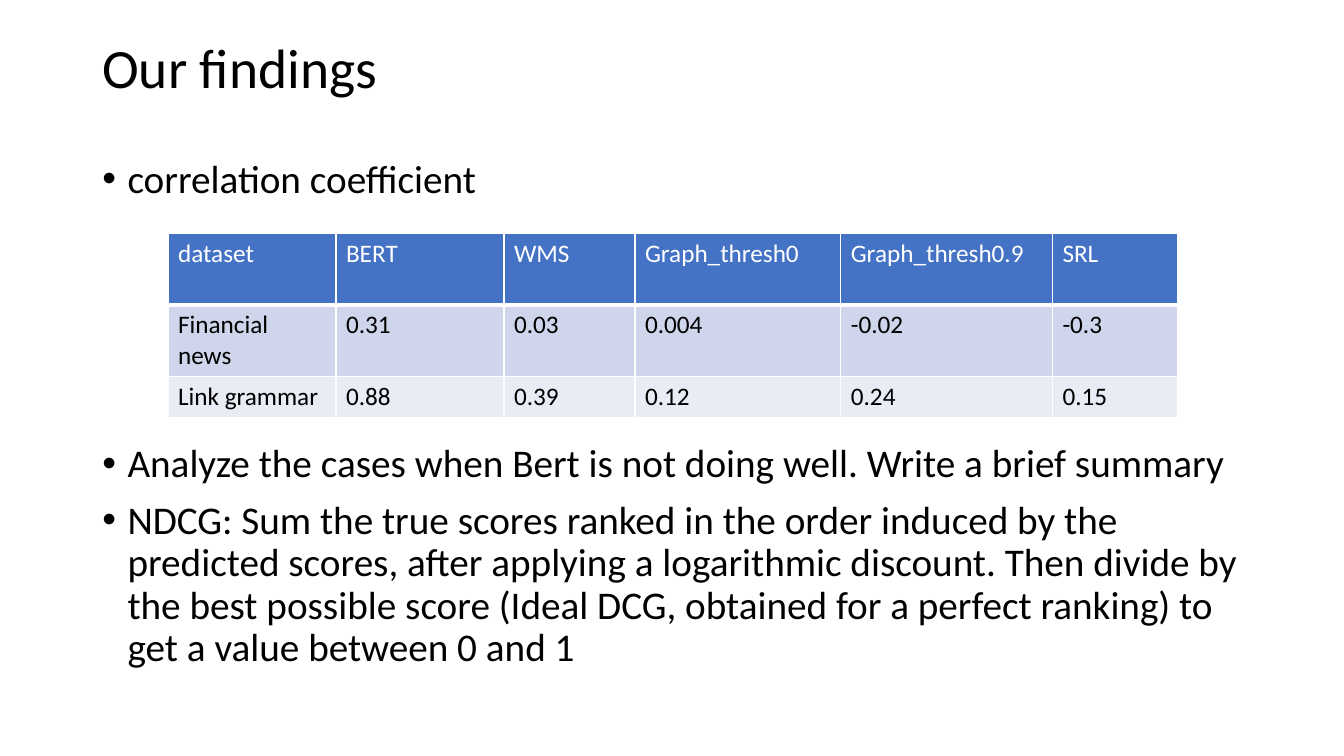
from dataclasses import dataclass

from lxml import etree
from pptx import Presentation
from pptx.dml.color import RGBColor
from pptx.enum.text import MSO_ANCHOR
from pptx.oxml.ns import qn
from pptx.util import Inches, Pt

MIDDLE, TOP = MSO_ANCHOR.MIDDLE, MSO_ANCHOR.TOP


@dataclass(frozen=True)
class Theme:
    """Font, type sizes in points and colours of the slide."""
    font: str = "Calibri"
    title: float = 39.6
    body: float = 28
    cell: float = 18
    text: str = "000000"
    white: str = "FFFFFF"
    header: str = "4472C4"
    bands: tuple = ("CFD5EA", "E9EBF5")


theme = Theme()


def style(p, size, color):
    """Set the font of a whole paragraph."""
    p.font.name = theme.font
    p.font.size = Pt(size)
    p.font.color.rgb = RGBColor.from_string(color)


def add_box(slide, box, anchor):
    """Add a wrapping text box and return its text frame."""
    tf = slide.shapes.add_textbox(*box).text_frame
    tf.word_wrap = True
    tf.vertical_anchor = anchor
    return tf


prs = Presentation()
prs.slide_width, prs.slide_height = Inches(13.33), Inches(7.5)
slide = prs.slides.add_slide(prs.slide_layouts[6])

# Grid of 160 columns by 90 rows
COL, ROW = prs.slide_width / 160, prs.slide_height / 90
left, width = int(11 * COL), int(138 * COL)

# Title
tf = add_box(slide, (left, int(4.8 * ROW), width, int(7.3 * ROW)), MIDDLE)
p = tf.paragraphs[0]
p.text = "Our findings"
p.line_spacing = 0.9
style(p, theme.title, theme.text)

# Bullets, each with its space before; the second one clears the table
bullets = [
    ("correlation coefficient", 10),
    ("Analyze the cases when Bert is not doing well. Write a brief summary", 173),
    ("NDCG: Sum the true scores ranked in the order induced by the predicted "
     "scores, after applying a logarithmic discount. Then divide by the best "
     "possible score (Ideal DCG, obtained for a perfect ranking)\u00a0to get a "
     "value between 0 and 1", 10),
]
tf = add_box(slide, (left, int(18.4 * ROW), width, int(62.8 * ROW)), TOP)
for i, (text, before) in enumerate(bullets):
    p = tf.add_paragraph() if i else tf.paragraphs[0]
    p.text = text
    p.line_spacing = 0.9
    p.space_before = Pt(before)
    style(p, theme.body, theme.text)
    pPr = p._p.get_or_add_pPr()
    pPr.set("marL", str(Inches(0.25)))
    pPr.set("indent", str(-Inches(0.25)))
    bullet_font = etree.Element(qn("a:buFont"), typeface="Arial")
    bullet = etree.Element(qn("a:buChar"), char="\u2022")
    pPr.find(qn("a:spcBef")).addnext(bullet_font)
    bullet_font.addnext(bullet)

# Table of correlation coefficients
rows = [
    ("dataset", "BERT", "WMS", "Graph_thresh0", "Graph_thresh0.9", "SRL"),
    ("Financial news", "0.31", "0.03", "0.004", "-0.02", "-0.3"),
    ("Link grammar", "0.88", "0.39", "0.12", "0.24", "0.15"),
]
col_spans = (20, 20, 15.6, 24.5, 25.2, 14.9)
row_spans = (8.5, 8.5, 4.9)
table = slide.shapes.add_table(
    len(rows), len(col_spans), int(20 * COL), int(27.8 * ROW),
    int(sum(col_spans) * COL), int(sum(row_spans) * ROW)).table
for column, span in zip(table.columns, col_spans):
    column.width = int(span * COL)
for r, (values, span) in enumerate(zip(rows, row_spans)):
    table.rows[r].height = int(span * ROW)
    fill = (theme.header, *theme.bands)[r]
    for c, value in enumerate(values):
        cell = table.cell(r, c)
        cell.text = value
        style(cell.text_frame.paragraphs[0], theme.cell,
              theme.text if r else theme.white)
        cell.fill.solid()
        cell.fill.fore_color.rgb = RGBColor.from_string(fill)
        tcPr = cell._tc.get_or_add_tcPr()
        for i, side in enumerate(("lnL", "lnR", "lnT", "lnB")):
            thick = (r, side) in ((0, "lnB"), (1, "lnT"))
            line = etree.Element(qn(f"a:{side}"), w=str(Pt(3 if thick else 1)))
            solid = etree.SubElement(line, qn("a:solidFill"))
            etree.SubElement(solid, qn("a:srgbClr"), val=theme.white)
            tcPr.insert(i, line)

prs.save("out.pptx")
